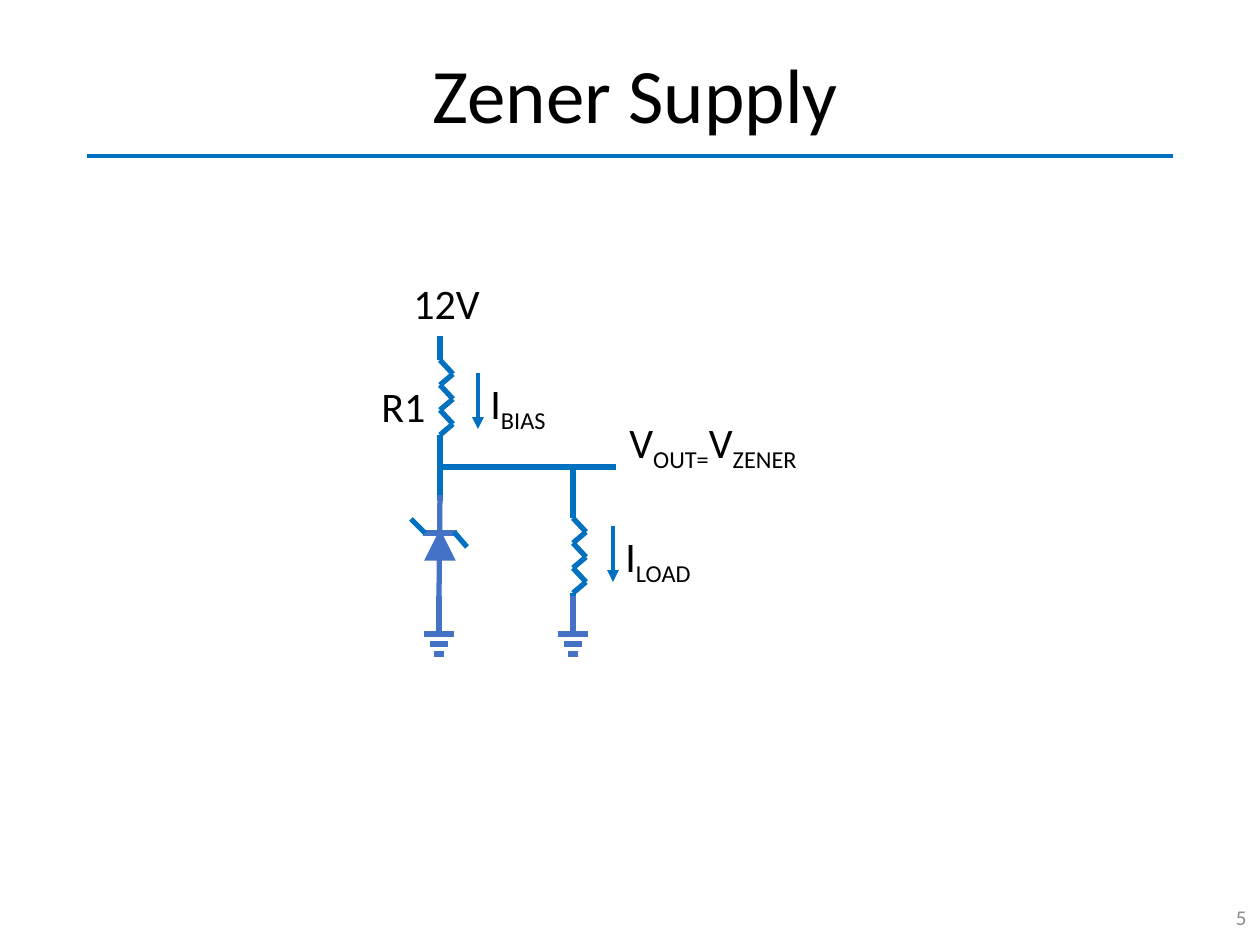
from lxml.etree import SubElement
from pptx import Presentation
from pptx.dml.color import RGBColor
from pptx.enum.shapes import MSO_CONNECTOR
from pptx.enum.text import MSO_ANCHOR, PP_ALIGN
from pptx.oxml.ns import qn
from pptx.util import Emu, Pt

PX = 914400 / 126
WIRE = RGBColor(0x00, 0x70, 0xC0)
SYMBOL = RGBColor(0x44, 0x72, 0xC4)
BLACK = RGBColor(0x00, 0x00, 0x00)
GREY = RGBColor(0x8C, 0x8C, 0x8C)


def px(value):
    return Emu(round(value * PX))


def add_line(shapes, start, end, color=WIRE, width=3, arrow=False):
    line = shapes.add_connector(
        MSO_CONNECTOR.STRAIGHT, *(px(value) for value in start + end))
    line.line.color.rgb = color
    line.line.width = Pt(width)
    properties = line._element.spPr
    if arrow:
        SubElement(line.line._get_or_add_ln(), qn("a:tailEnd"), type="triangle")
    SubElement(properties, qn("a:effectLst"))


def write_text(box, parts, size=24, color=BLACK, align=PP_ALIGN.LEFT,
               anchor=MSO_ANCHOR.TOP, spacing=1.0):
    frame = box.text_frame
    frame.word_wrap = True
    frame.vertical_anchor = anchor
    para = frame.paragraphs[0]
    para.alignment = align
    para.line_spacing = spacing
    for index, part in enumerate(parts):
        span = para.add_run()
        span.text = part
        span.font.size = Pt(size)
        span.font.name = "Calibri"
        span.font.color.rgb = color
        if index % 2:
            span.font._element.set("baseline", "-25000")


def add_label(page, parts, left, top, width, height=63, **text_format):
    box = page.shapes.add_textbox(px(left), px(top), px(width), px(height))
    write_text(box, parts, **text_format)


def add_title(page, text):
    title = page.shapes.title
    title.left, title.top = px(64), px(30)
    title.width, title.height = px(1143), px(137)
    write_text(title, [text], size=44, align=PP_ALIGN.CENTER,
               anchor=MSO_ANCHOR.MIDDLE, spacing=0.9)


def add_resistor(page, x, top):
    parts = page.shapes.add_group_shape().shapes
    lead, pitch, reach = 24, 25, 13
    for turn in range(3):
        y = top + lead + turn * pitch
        peak = (x + reach, y + 14)
        add_line(parts, (x, y), peak)
        add_line(parts, peak, (x, y + pitch))
    bottom = top + lead + 3 * pitch
    add_line(parts, (x, bottom), (x, bottom + lead))
    add_line(parts, (x, top), (x, top + lead))


def add_ground(page, x, top):
    parts = page.shapes.add_group_shape().shapes
    add_line(parts, (x, top), (x, top + 37), SYMBOL)
    for row, reach in enumerate((15, 9, 5)):
        y = top + 38 + row * 10
        add_line(parts, (x - reach, y), (x + reach, y), SYMBOL)


def add_zener(page, x, top):
    parts = page.shapes.add_group_shape().shapes
    bar = top + 38
    add_line(parts, (x, top + 61), (x, top + 34), SYMBOL, 6, arrow=True)
    add_line(parts, (x, top), (x - 1, top + 105), SYMBOL)
    add_line(parts, (x - 17, bar), (x + 17, bar), SYMBOL)
    add_line(page.shapes, (x - 29, bar - 14), (x - 15, bar))
    add_line(page.shapes, (x + 14, bar - 1), (x + 27, bar + 14))


def add_current(page, x, top, name):
    add_line(page.shapes, (x, top), (x, top + 56), width=2.25, arrow=True)
    add_label(page, ["I", name], x, top - 2, 106)


def main():
    deck = Presentation()
    deck.slide_width, deck.slide_height = px(1260), px(945)
    page = deck.slides.add_slide(deck.slide_layouts[5])
    bias_x, load_x, output_y = 440, 573, 467

    add_title(page, "Zener Supply")
    add_line(page.shapes, (87, 156), (1173, 156), width=2.25)
    add_label(page, ["5"], 975, 892, 284, 50, size=12, color=GREY,
              align=PP_ALIGN.RIGHT, anchor=MSO_ANCHOR.MIDDLE)

    add_resistor(page, bias_x, 336)
    add_label(page, ["12V"], 401, 271, 106)
    add_label(page, ["R1"], 369, 374, 79)
    add_current(page, 478, 373, "BIAS")

    add_line(page.shapes, (bias_x, output_y), (616, output_y))
    add_line(page.shapes, (bias_x, 450), (bias_x, 501))
    add_label(page, ["V", "OUT=", "V", "ZENER"], 617, 410, 226)

    add_resistor(page, load_x, 494)
    add_line(page.shapes, (load_x, output_y), (load_x, 508))
    add_current(page, 613, 526, "LOAD")

    add_zener(page, bias_x, 495)
    for x in (bias_x - 1, load_x):
        add_ground(page, x, 596)
    deck.save("out.pptx")


if __name__ == "__main__":
    main()
